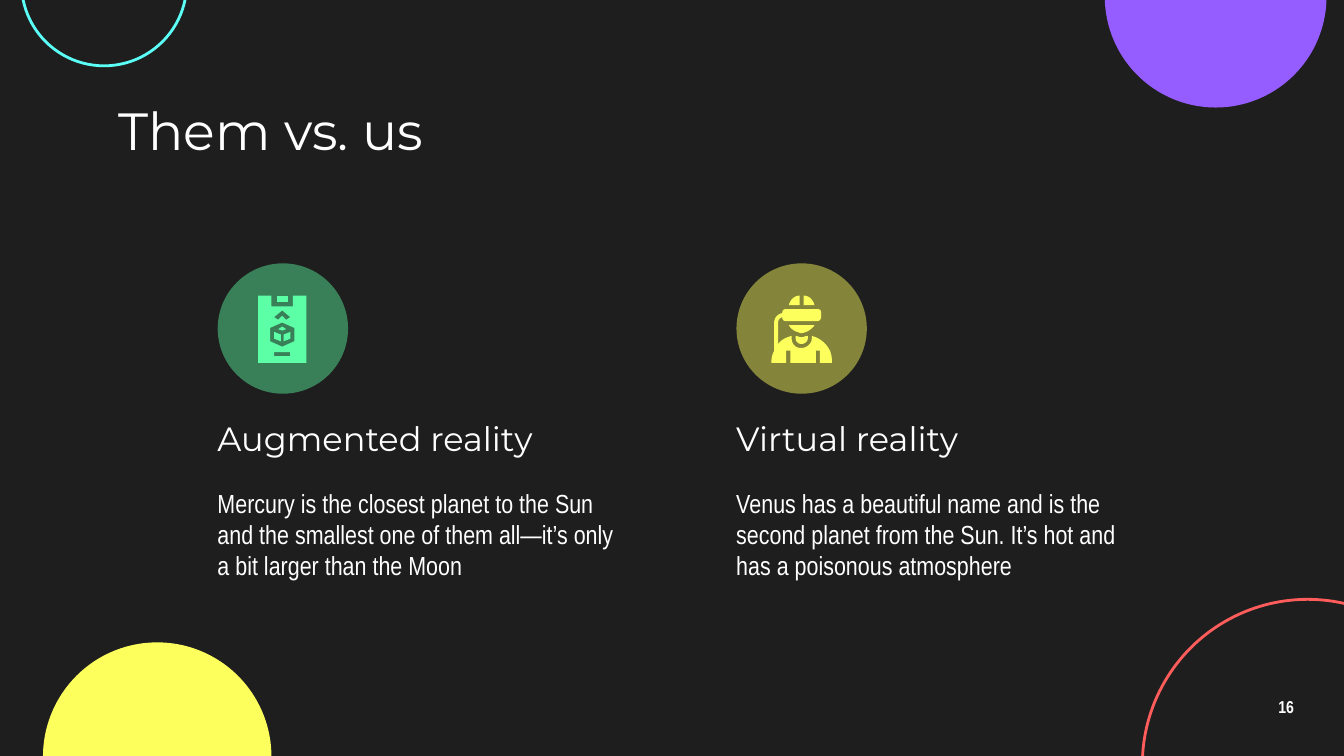
from pptx import Presentation
from pptx.dml.color import RGBColor
from pptx.enum.shapes import MSO_SHAPE
from pptx.enum.text import MSO_ANCHOR, MSO_AUTO_SIZE, PP_ALIGN
from pptx.oxml.ns import qn
from pptx.util import Inches, Pt
from lxml.etree import SubElement

CELL = Inches(0.1)
GRID_COLUMNS, GRID_ROWS = 100, 56.25
ICON_CELL = CELL // 10
CURVE_STEPS = 8

DARK = RGBColor(0x1E, 0x1E, 0x1E)
WHITE = RGBColor(0xFF, 0xFF, 0xFF)
PURPLE = RGBColor(0x95, 0x5C, 0xFF)
RED = RGBColor(0xFF, 0x5C, 0x5C)
CYAN = RGBColor(0x5C, 0xFF, 0xF8)
YELLOW = RGBColor(0xFD, 0xFF, 0x5C)
GREEN = RGBColor(0x5C, 0xFF, 0xA6)

HEADING_FONT, BODY_FONT = "Montserrat", "Arial Narrow"

PHONE = [
    [[(12, 27), (12, 32), (17, 34), (17, 29)]],
    [[(14, 0), (14, 5), (22, 5), (22, 0)]],
    [[(24, 27), (19, 29), (19, 34), (24, 32)]],
    [[(18, 23), (15, 25), (18, 26), (21, 25)]],
    [
        [(18, 11), (24, 16), (21, 18), (18, 15), (15, 18), (12, 16)],
        [(18, 20), (27, 24), (27, 34), (18, 38), (9, 34), (9, 24)],
        [(24, 42), (24, 45), (12, 45), (12, 42)],
        [(0, 0), (0, 50), (36, 50), (36, 0), (26, 0), (26, 8), (10, 8), (10, 0)],
    ],
]
HEADSET_WEARER = [
    [[
        (11, 10), (9, 10, 8, 11, 8, 13), (4, 14, 2, 17, 2, 20), (2, 41),
        (1, 43, 0, 46, 0, 48), (0, 50), (11, 50), (11, 41), (14, 41), (14, 50),
        (33, 50), (33, 41), (36, 41), (36, 50), (45, 50), (45, 48),
        (45, 39, 38, 32, 30, 30), (30, 32), (30, 36, 26, 39, 22, 39),
        (18, 39, 15, 36, 15, 32), (15, 30), (11, 31, 7, 33, 5, 36), (5, 20),
        (5, 18, 6, 17, 8, 16), (8, 18, 9, 19, 11, 19), (34, 19),
        (36, 19, 37, 17, 37, 16), (37, 13), (37, 11, 36, 10, 34, 10),
    ]],
    [[
        (18, 30), (18, 32), (18, 34, 20, 36, 22, 36), (25, 36, 27, 34, 27, 32),
        (27, 30), (25, 30, 24, 31, 22, 31), (21, 31, 19, 30, 18, 30),
    ]],
    [[(21, 0), (17, 0, 14, 3, 13, 7), (21, 7)]],
    [[(24, 0), (24, 7), (32, 7), (31, 3, 28, 0, 24, 0)]],
    [[
        (13, 22), (14, 24, 16, 26, 19, 27), (20, 27, 21, 28, 22, 28),
        (24, 28, 25, 27, 26, 27), (28, 26, 31, 24, 32, 22),
    ]],
]

TOPICS = [
    ("Augmented reality",
     "Mercury is the closest planet to the Sun and the smallest one of them "
     "all—it’s only a bit larger than the Moon",
     GREEN, 44, PHONE, 4),
    ("Virtual reality",
     "Venus has a beautiful name and is the second planet from the Sun. "
     "It’s hot and has a poisonous atmosphere",
     YELLOW, 46, HEADSET_WEARER, 3.6),
]
FIRST_COLUMN, COLUMN_STEP, COLUMN_WIDTH = 15.2, 38.6, 32.4


def cells(*lengths):
    return [round(length * CELL) for length in lengths]


def add_circle(slide, left, top, size, fill=None, line=None, opacity=None):
    circle = slide.shapes.add_shape(MSO_SHAPE.OVAL, *cells(left, top, size, size))
    circle.shadow.inherit = False
    if fill is None:
        circle.fill.background()
    else:
        circle.fill.solid()
        circle.fill.fore_color.rgb = fill
    if line is None:
        circle.line.fill.background()
    else:
        circle.line.color.rgb = line
        circle.line.width = Pt(1.5)
    if opacity is not None:
        color = circle.fill._xPr.find(qn("a:solidFill"))[0]
        SubElement(color, qn("a:alpha"), val=str(opacity * 1000))


def write(frame, text, size, font, bold=False, align=PP_ALIGN.LEFT):
    frame.word_wrap = True
    frame.auto_size = MSO_AUTO_SIZE.NONE
    frame.vertical_anchor = MSO_ANCHOR.MIDDLE
    frame.margin_left = frame.margin_right = CELL
    frame.margin_top = frame.margin_bottom = CELL
    frame.text = text
    paragraph = frame.paragraphs[0]
    paragraph.alignment = align
    paragraph.font.size = Pt(size)
    paragraph.font.name = font
    paragraph.font.bold = bold
    paragraph.font.color.rgb = WHITE
    return paragraph


def add_text(slide, left, top, width, height, *args, **kwargs):
    box = slide.shapes.add_textbox(*cells(left, top, width, height))
    return write(box.text_frame, *args, **kwargs)


def set_title(slide, text):
    title = slide.shapes.title
    title.left, title.top, title.width, title.height = cells(7.8, 7.1, 84.4, 5.1)
    write(title.text_frame, text, 28, HEADING_FONT)


def flatten(contour):
    points = [contour[0]]
    for segment in contour[1:]:
        if len(segment) == 2:
            points.append(segment)
            continue
        controls = [points[-1], segment[:2], segment[2:4], segment[4:]]
        for step in range(1, CURVE_STEPS + 1):
            t = step / CURVE_STEPS
            weights = ((1 - t) ** 3, 3 * t * (1 - t) ** 2, 3 * t * t * (1 - t), t ** 3)
            points.append(tuple(
                sum(w * c[axis] for w, c in zip(weights, controls)) for axis in (0, 1)
            ))
    return points


def add_icon(slide, left, top, parts, color):
    origin_x, origin_y = cells(left, top)
    icon = slide.shapes.add_group_shape()
    for contours in parts:
        outlines = [
            [(round(origin_x + x * ICON_CELL), round(origin_y + y * ICON_CELL))
             for x, y in flatten(contour)]
            for contour in contours
        ]
        builder = icon.shapes.build_freeform(*outlines[0][0])
        for number, outline in enumerate(outlines):
            if number:
                builder.move_to(*outline[0])
            builder.add_line_segments(outline[1:], close=True)
        part = builder.convert_to_shape()
        part.shadow.inherit = False
        part.fill.solid()
        part.fill.fore_color.rgb = color
        part.line.fill.background()


def add_topic(slide, left, heading, description, color, opacity, icon, icon_inset):
    add_circle(slide, left + 1, 19.6, 9.7, fill=color, opacity=opacity)
    add_icon(slide, left + icon_inset, 22, icon, color)
    add_text(slide, left, 30.1, COLUMN_WIDTH, 5, heading, 18, HEADING_FONT)
    add_text(slide, left, 35.1, COLUMN_WIDTH, 9.3, description, 14, BODY_FONT)


def main():
    deck = Presentation()
    deck.slide_width, deck.slide_height = cells(GRID_COLUMNS, GRID_ROWS)
    slide = deck.slides.add_slide(deck.slide_layouts[5])
    slide.background.fill.solid()
    slide.background.fill.fore_color.rgb = DARK

    add_circle(slide, 82.2, -8.5, 16.5, fill=PURPLE)
    add_circle(slide, 85, 44.6, 24.6, line=RED)
    add_circle(slide, 1.6, -7.4, 12.3, line=CYAN)
    add_circle(slide, 3.2, 47.8, 17, fill=YELLOW)
    set_title(slide, "Them vs. us")
    for number, topic in enumerate(TOPICS):
        add_topic(slide, FIRST_COLUMN + number * COLUMN_STEP, *topic)
    page_number = add_text(slide, 92.7, 51, 6, 3.4, "16", 9.2, BODY_FONT,
                           bold=True, align=PP_ALIGN.CENTER)
    page_number.line_spacing = 0.9
    deck.save("out.pptx")


if __name__ == "__main__":
    main()
